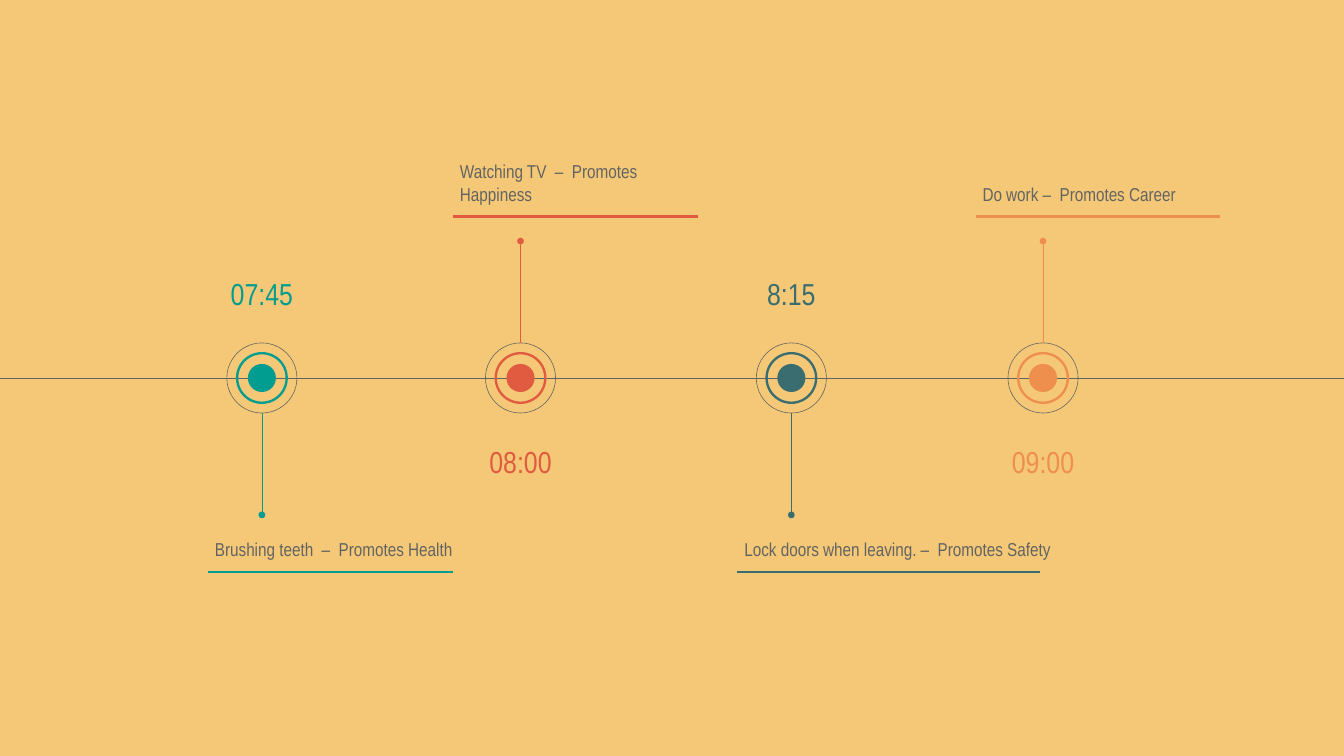
from lxml import etree
from pptx import Presentation
from pptx.dml.color import RGBColor
from pptx.enum import shapes, text
from pptx.oxml.ns import qn
from pptx.util import Cm, Pt

SAND = RGBColor(0xF4, 0xC8, 0x77)
GREY = RGBColor(0x63, 0x64, 0x62)
TEAL = RGBColor(0x00, 0x9D, 0x90)
RED = RGBColor(0xE0, 0x5B, 0x3F)
SLATE = RGBColor(0x3A, 0x6D, 0x70)
ORANGE = RGBColor(0xEE, 0x8F, 0x4D)

WIDTH, HEIGHT = 40.64, 22.86
AXIS = HEIGHT / 2

presentation = Presentation()
presentation.slide_width, presentation.slide_height = Cm(WIDTH), Cm(HEIGHT)
slide = presentation.slides.add_slide(presentation.slide_layouts[6])
slide.background.fill.solid()
slide.background.fill.fore_color.rgb = SAND


def add_line(x1, y1, x2, y2, color, width):
    line = slide.shapes.add_connector(
        shapes.MSO_CONNECTOR.STRAIGHT, Cm(x1), Cm(y1), Cm(x2), Cm(y2))
    line.line.color.rgb = color
    line.line.width = Pt(width)
    etree.SubElement(line._element.spPr, qn("a:effectLst"))


def add_circle(x, y, diameter, color, outline=None):
    circle = slide.shapes.add_shape(
        shapes.MSO_SHAPE.OVAL, Cm(x - diameter / 2), Cm(y - diameter / 2),
        Cm(diameter), Cm(diameter))
    circle.shadow.inherit = False
    if outline:
        circle.fill.background()
        circle.line.color.rgb = color
        circle.line.width = Pt(outline)
    else:
        circle.fill.solid()
        circle.fill.fore_color.rgb = color
        circle.line.fill.background()


# Time axis
add_line(0, AXIS, WIDTH, AXIS, GREY, 0.5)

# Centre, side of the caption (1 below, -1 above), colour, time, caption,
# underline width, caption width
events = [
    (7.92, 1, TEAL, "07:45", "Brushing teeth  –  Promotes Health", 7.4, 7.19),
    (15.74, -1, RED, "08:00", "Watching TV  –  Promotes Happiness", 7.4, 7.19),
    (23.93, 1, SLATE, "8:15", "Lock doors when leaving. –  Promotes Safety", 9.14, 9.78),
    (31.54, -1, ORANGE, "09:00", "Do work –  Promotes Career", 7.4, 7.19),
]

for x, side, color, time, caption, rule_width, caption_width in events:
    # Target marker
    add_circle(x, AXIS, 2.12, GREY, 0.5)
    add_circle(x, AXIS, 1.5, color, 2)
    add_circle(x, AXIS, 0.85, color)

    # Stem with its end dot
    add_line(x, AXIS + side * 1.06, x, AXIS + side * 4.06, color, 0.5)
    add_circle(x, AXIS + side * 4.14, 0.2, color)

    # Underline of the caption
    rule_left, rule_top = (x - 1.63, 17.3) if side > 0 else (x - 2.04, 6.55)
    add_line(rule_left, rule_top, rule_left + rule_width, rule_top, color, 2)

    # Time and caption
    labels = [
        (time, x - 1.37, AXIS - side * 2.54 - 0.69, 2.74, 1.37,
         {"size": Pt(26), "color": color, "align": text.PP_ALIGN.CENTER}, {}),
        (caption, rule_left + 0.21, rule_top - 1.04, caption_width, 0.69,
         {"size": Pt(16), "color": GREY, "align": text.PP_ALIGN.LEFT},
         {"vertical_anchor": text.MSO_ANCHOR.BOTTOM, "margin_left": 0,
          "margin_right": 0, "margin_top": 0, "margin_bottom": 0}),
    ]
    for words, left, top, width, height, style, frame_format in labels:
        frame = slide.shapes.add_textbox(
            Cm(left), Cm(top), Cm(width), Cm(height)).text_frame
        frame.word_wrap = True
        frame.auto_size = text.MSO_AUTO_SIZE.SHAPE_TO_FIT_TEXT
        for name, value in frame_format.items():
            setattr(frame, name, value)
        paragraph = frame.paragraphs[0]
        paragraph.alignment = style["align"]
        run = paragraph.add_run()
        run.text = words
        run.font.name = "Arial Narrow"
        run.font.size = style["size"]
        run.font.color.rgb = style["color"]

presentation.save("out.pptx")
